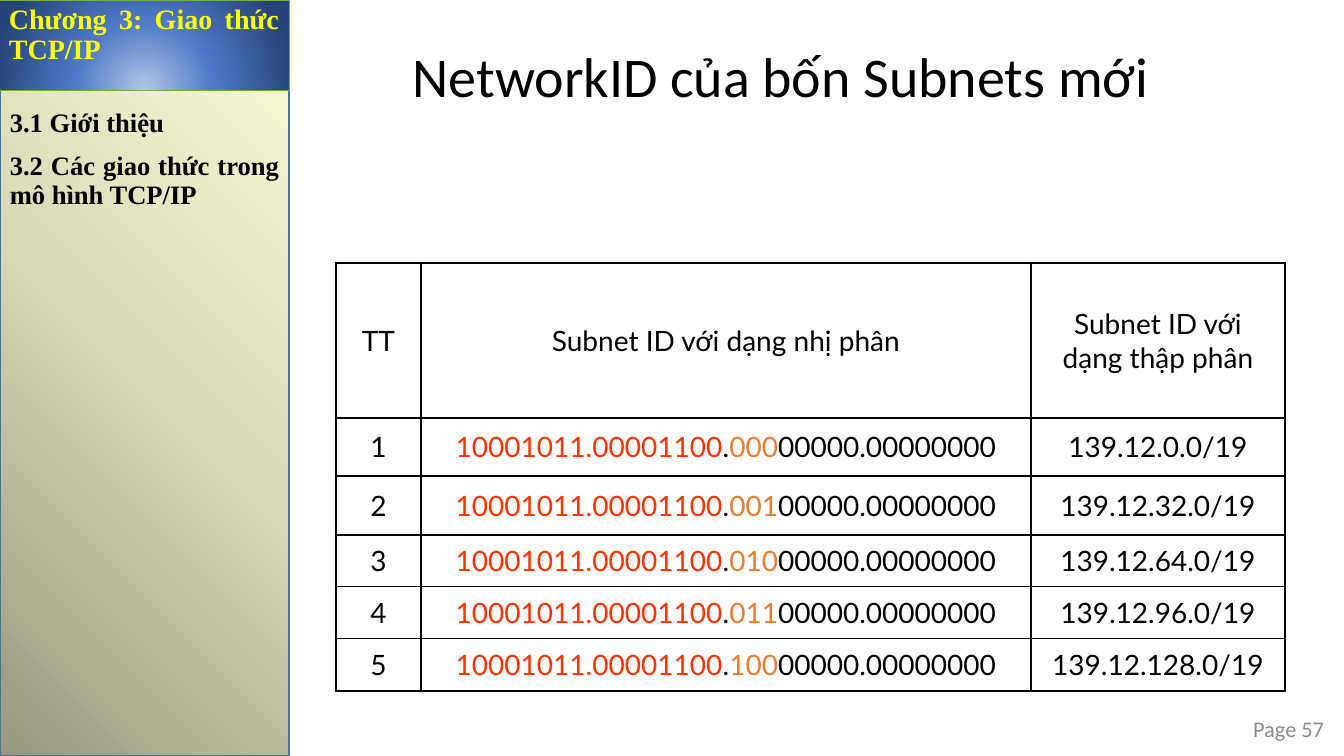
from dataclasses import dataclass

from lxml import etree
from pptx import Presentation
from pptx.dml.color import RGBColor
from pptx.enum import shapes, text
from pptx.oxml import ns
from pptx.util import Pt

SLIDE_W, SLIDE_H = 1344, 756
EMU_PER_PX = 12192000 / SLIDE_W


@dataclass(frozen=True)
class Theme:
    black: str = "000000"
    heading: str = "FFFF00"
    page: str = "8C8C8C"
    network: str = "FF3300"
    subnet: str = "ED7D31"
    divider: str = "5B9BD5"
    sidebar_line: str = "43739E"
    header_line: str = "70AD47"
    sidebar_stops: tuple = ((0, "979880"), (50, "D7D8B5"), (100, "FEFFD9"))
    header_stops: tuple = ((0, "B4C7E7"), (46, "4D79C7"), (100, "264478"))
    serif: str = "Times New Roman"
    sans: str = "Calibri"
    table_font: str = "Lato"
    title_size: int = 40
    body_size: int = 20
    menu_size: int = 19
    page_size: int = 16
    thick: float = 2.25
    thin: float = 1


THEME = Theme()
COLUMNS = (85, 610, 254)
ROWS = (155, 58, 59, 52, 52, 52)
HEADINGS = ("TT", "Subnet ID với dạng nhị phân", "Subnet ID với dạng thập phân")
SUBNET_COUNT = 5
LEFT, CENTER, RIGHT, JUSTIFY = (
    text.PP_ALIGN.LEFT, text.PP_ALIGN.CENTER, text.PP_ALIGN.RIGHT, text.PP_ALIGN.JUSTIFY)


def px(length):
    return round(length * EMU_PER_PX)


def box(*lengths):
    return [px(length) for length in lengths]


def rgb(value):
    return RGBColor.from_string(value)


def sub(parent, tag, **attributes):
    return etree.SubElement(parent, ns.qn(tag), attributes)


def style(paragraph, font, size, color, align, bold=False):
    paragraph.alignment = align
    paragraph.font.name = font
    paragraph.font.size = Pt(size)
    paragraph.font.bold = bold
    paragraph.font.color.rgb = rgb(color)


def write(frame, lines, font, size, color, align, bold=False, spacing=0.9, before=0):
    frame.word_wrap = True
    for index, line in enumerate(lines):
        paragraph = frame.add_paragraph() if index else frame.paragraphs[0]
        paragraph.add_run().text = line
        style(paragraph, font, size, color, align, bold)
        paragraph.line_spacing = spacing
        paragraph.space_before = Pt(before)


def add_text(slide, bounds, lines, *look, anchor=text.MSO_ANCHOR.TOP, **options):
    frame = slide.shapes.add_textbox(*box(*bounds)).text_frame
    frame.vertical_anchor = anchor
    write(frame, lines, *look, **options)


def add_panel(slide, bounds, stops, line, width, angle=None):
    """Gradient rectangle: linear with an angle, otherwise glowing from its lower edge."""
    panel = slide.shapes.add_shape(shapes.MSO_SHAPE.RECTANGLE, *box(*bounds))
    panel.shadow.inherit = False
    panel.line.color.rgb = rgb(line)
    panel.line.width = Pt(width)
    panel.fill.gradient()
    gradient = panel.element.spPr.find(ns.qn("a:gradFill"))
    for child in list(gradient):
        gradient.remove(child)
    stop_list = sub(gradient, "a:gsLst")
    for position, color in stops:
        stop = sub(stop_list, "a:gs", pos=str(position * 1000))
        sub(stop, "a:srgbClr", val=color)
    if angle is None:
        glow = sub(gradient, "a:path", path="circle")
        sub(glow, "a:fillToRect", l="50000", t="130000", r="50000", b="-30000")
    else:
        sub(gradient, "a:lin", ang=str(angle * 60000), scaled="0")
    return panel


def add_divider(slide, x):
    divider = slide.shapes.add_connector(
        shapes.MSO_CONNECTOR.STRAIGHT, *box(x, 0, x, SLIDE_H))
    divider.line.color.rgb = rgb(THEME.divider)
    divider.line.width = Pt(1.5)
    sub(divider.element.spPr, "a:effectLst")


def set_borders(cell, widths):
    properties = cell._tc.get_or_add_tcPr()
    for side, width in widths.items():
        border = sub(properties, f"a:ln{side}", w=str(Pt(width)))
        sub(sub(border, "a:solidFill"), "a:srgbClr", val=THEME.black)


def outer_or_inner(is_outer):
    return THEME.thick if is_outer else THEME.thin


def fill_cell(cell, parts):
    """Write (text, colour) parts into a centred cell."""
    cell.vertical_anchor = text.MSO_ANCHOR.MIDDLE
    paragraph = cell.text_frame.paragraphs[0]
    style(paragraph, THEME.table_font, THEME.body_size, THEME.black, CENTER)
    for words, color in parts:
        run = paragraph.add_run()
        run.text = words
        run.font.color.rgb = rgb(color)


def subnet_row(index):
    binary = (("10001011.00001100", THEME.network), (".", THEME.black),
              (f"{index:03b}", THEME.subnet), ("00000.00000000", THEME.black))
    return ([(str(index + 1), THEME.black)], binary,
            [(f"139.12.{index * 32}.0/19", THEME.black)])


def add_subnet_table(slide, left, top):
    table = slide.shapes.add_table(
        len(ROWS), len(COLUMNS), *box(left, top, sum(COLUMNS), sum(ROWS))).table
    table.first_row = table.horz_banding = False
    for column, width in zip(table.columns, COLUMNS):
        column.width = px(width)
    for row, height in zip(table.rows, ROWS):
        row.height = px(height)

    contents = [[[(heading, THEME.black)] for heading in HEADINGS]]
    contents += [subnet_row(index) for index in range(SUBNET_COUNT)]
    for r, row in enumerate(contents):
        for c, parts in enumerate(row):
            cell = table.cell(r, c)
            fill_cell(cell, parts)
            set_borders(cell, {
                "L": outer_or_inner(c == 0),
                "R": outer_or_inner(c == len(COLUMNS) - 1),
                "T": outer_or_inner(r == 0),
                "B": outer_or_inner(r == len(ROWS) - 1)})
            cell.fill.background()


def main():
    deck = Presentation()
    deck.slide_width, deck.slide_height = box(SLIDE_W, SLIDE_H)
    slide = deck.slides.add_slide(deck.slide_layouts[6])

    add_divider(slide, 289)
    add_panel(slide, (0, 0, 289, SLIDE_H), THEME.sidebar_stops, THEME.sidebar_line, 1, angle=315)
    add_text(slide, (1218, 710, 116, 37), ["Page 57"],
             THEME.sans, THEME.page_size, THEME.page, RIGHT,
             anchor=text.MSO_ANCHOR.MIDDLE, spacing=1.0)
    chapter = add_panel(slide, (-1, 0, 290, 90), THEME.header_stops, THEME.header_line, 0.5)
    chapter.text_frame.vertical_anchor = text.MSO_ANCHOR.TOP
    write(chapter.text_frame, ["Chương 3: Giao thức TCP/IP"],
          THEME.serif, THEME.body_size, THEME.heading, JUSTIFY, bold=True, before=10)
    add_text(slide, (0, 105, 289, 642),
             ["3.1 Giới thiệu", "3.2 Các giao thức trong mô hình TCP/IP"],
             THEME.serif, THEME.menu_size, THEME.black, JUSTIFY, bold=True, before=10)
    add_text(slide, (403, 44, 857, 126), ["NetworkID của bốn Subnets mới"],
             THEME.sans, THEME.title_size, THEME.black, LEFT)
    add_subnet_table(slide, 336, 263)
    deck.save("out.pptx")


if __name__ == "__main__":
    main()
